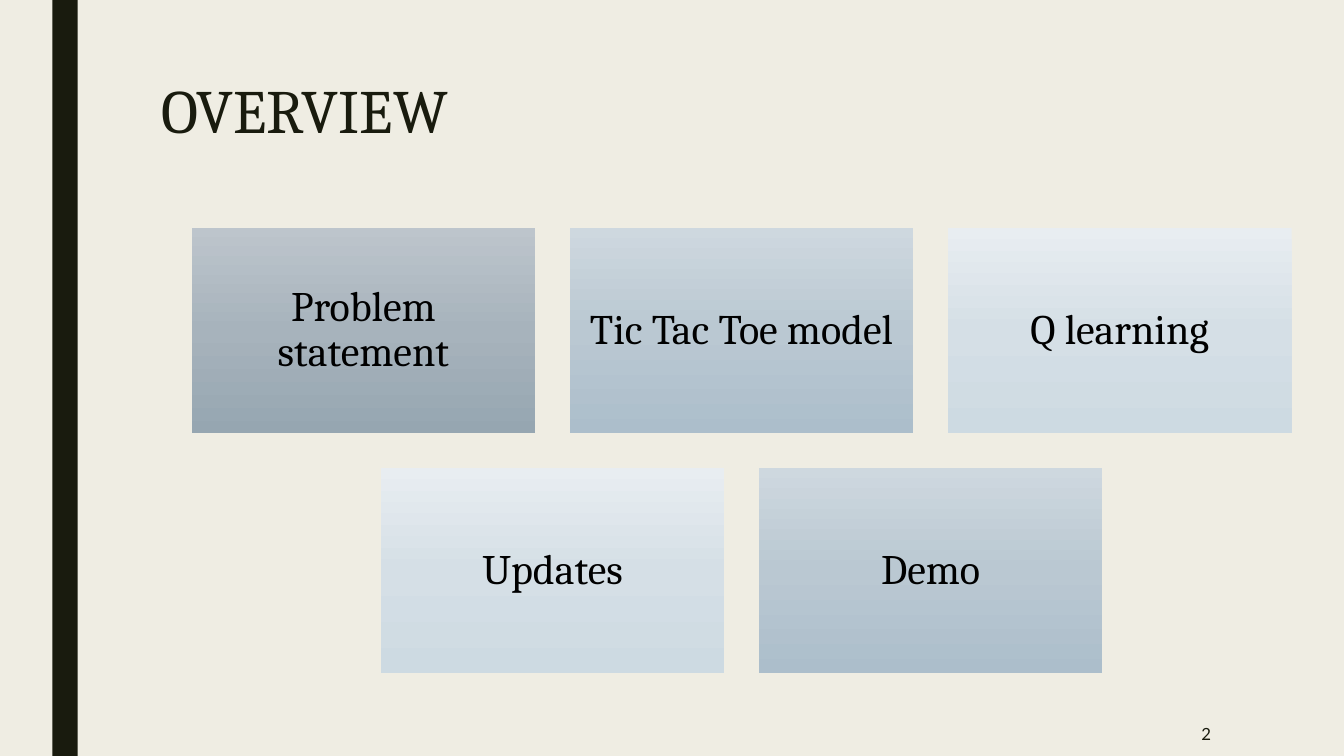
from copy import deepcopy
from dataclasses import dataclass

from pptx import Presentation
from pptx.dml.color import RGBColor
from pptx.enum.shapes import MSO_SHAPE
from pptx.enum.text import MSO_ANCHOR, PP_ALIGN
from pptx.oxml.ns import qn
from pptx.util import Inches, Pt


@dataclass(frozen=True)
class Theme:
    background: str = "EFEDE3"
    ink: str = "191B0E"
    tile_text: str = "000000"
    slate: tuple = ("BDC5CC", "A7B3BC", "96A6B1")
    steel: tuple = ("CED8DF", "BAC8D2", "ACBECB")
    mist: tuple = ("E8EDF1", "D5DFE6", "CDDAE2")
    serif: str = "Cambria"
    sans: str = "Lato"
    title_size: int = 44
    tile_size: int = 30
    number_size: int = 12


THEME = Theme()
WIDTH, HEIGHT = 13.33, 7.5
TILE_WIDTH, TILE_HEIGHT, TILE_GAP = 3.41, 2.04, 0.34
TILE_ROWS = (
    (("Problem statement", THEME.slate), ("Tic Tac Toe model", THEME.steel),
     ("Q learning", THEME.mist)),
    (("Updates", THEME.mist), ("Demo", THEME.steel)),
)


def write_text(shape, text, *, size, font=THEME.serif, color=THEME.ink, align=PP_ALIGN.LEFT,
               anchor=MSO_ANCHOR.MIDDLE, spacing=1.0, inset=None):
    frame = shape.text_frame
    frame.word_wrap = True
    frame.vertical_anchor = anchor
    if inset is not None:
        frame.margin_left = frame.margin_right = Inches(inset)
        frame.margin_top = frame.margin_bottom = Inches(inset)
    paragraph = frame.paragraphs[0]
    paragraph.text = text
    paragraph.alignment = align
    paragraph.line_spacing = spacing
    paragraph.font.name = font
    paragraph.font.size = Pt(size)
    paragraph.font.color.rgb = RGBColor.from_string(color)


def add_text(slide, box, text, **text_format):
    write_text(slide.shapes.add_textbox(*map(Inches, box)), text, **text_format)


def add_rectangle(slide, box):
    shape = slide.shapes.add_shape(MSO_SHAPE.RECTANGLE, *map(Inches, box))
    shape.shadow.inherit = False
    shape.line.fill.background()
    return shape


def fill_downward(shape, colors):
    """Fill the shape with evenly spaced gradient colors from top to bottom."""
    shape.fill.gradient()
    shape.fill.gradient_angle = 270
    stop_list = shape.element.spPr.find(qn("a:gradFill")).find(qn("a:gsLst"))
    while len(stop_list) < len(colors):
        stop_list.append(deepcopy(stop_list[0]))
    for index, (stop, color) in enumerate(zip(shape.fill.gradient_stops, colors)):
        stop.position = index / (len(colors) - 1)
        stop.color.rgb = RGBColor.from_string(color)


def add_side_bar(slide, box):
    bar = add_rectangle(slide, box)
    bar.fill.solid()
    bar.fill.fore_color.rgb = RGBColor.from_string(THEME.ink)


def add_tiles(slide, box, rows):
    """Place each row of tiles centred across the box."""
    left, top, width, _ = box
    for row_index, row in enumerate(rows):
        row_width = len(row) * (TILE_WIDTH + TILE_GAP) - TILE_GAP
        row_left = left + (width - row_width) / 2
        row_top = top + row_index * (TILE_HEIGHT + TILE_GAP)
        for column, (label, colors) in enumerate(row):
            tile_left = row_left + column * (TILE_WIDTH + TILE_GAP)
            tile = add_rectangle(slide, (tile_left, row_top, TILE_WIDTH, TILE_HEIGHT))
            fill_downward(tile, colors)
            write_text(tile, label, size=THEME.tile_size, color=THEME.tile_text,
                       align=PP_ALIGN.CENTER, spacing=0.9, inset=0.12)


def add_overview_slide(presentation):
    slide = presentation.slides.add_slide(presentation.slide_layouts[6])
    slide.background.fill.solid()
    slide.background.fill.fore_color.rgb = RGBColor.from_string(THEME.background)
    add_side_bar(slide, (0.52, 0, 0.25, HEIGHT))
    add_text(slide, (1.5, 0.75, 10.5, 1.62), "OVERVIEW", size=THEME.title_size,
             anchor=MSO_ANCHOR.TOP, spacing=0.89)
    add_tiles(slide, (1.9, 2.26, 10.91, 4.42), TILE_ROWS)
    add_text(slide, (10.36, 7.06, 1.75, 0.44), "2", size=THEME.number_size,
             font=THEME.sans, align=PP_ALIGN.RIGHT)


def main():
    presentation = Presentation()
    presentation.slide_width = Inches(WIDTH)
    presentation.slide_height = Inches(HEIGHT)
    add_overview_slide(presentation)
    presentation.save("out.pptx")


if __name__ == "__main__":
    main()
